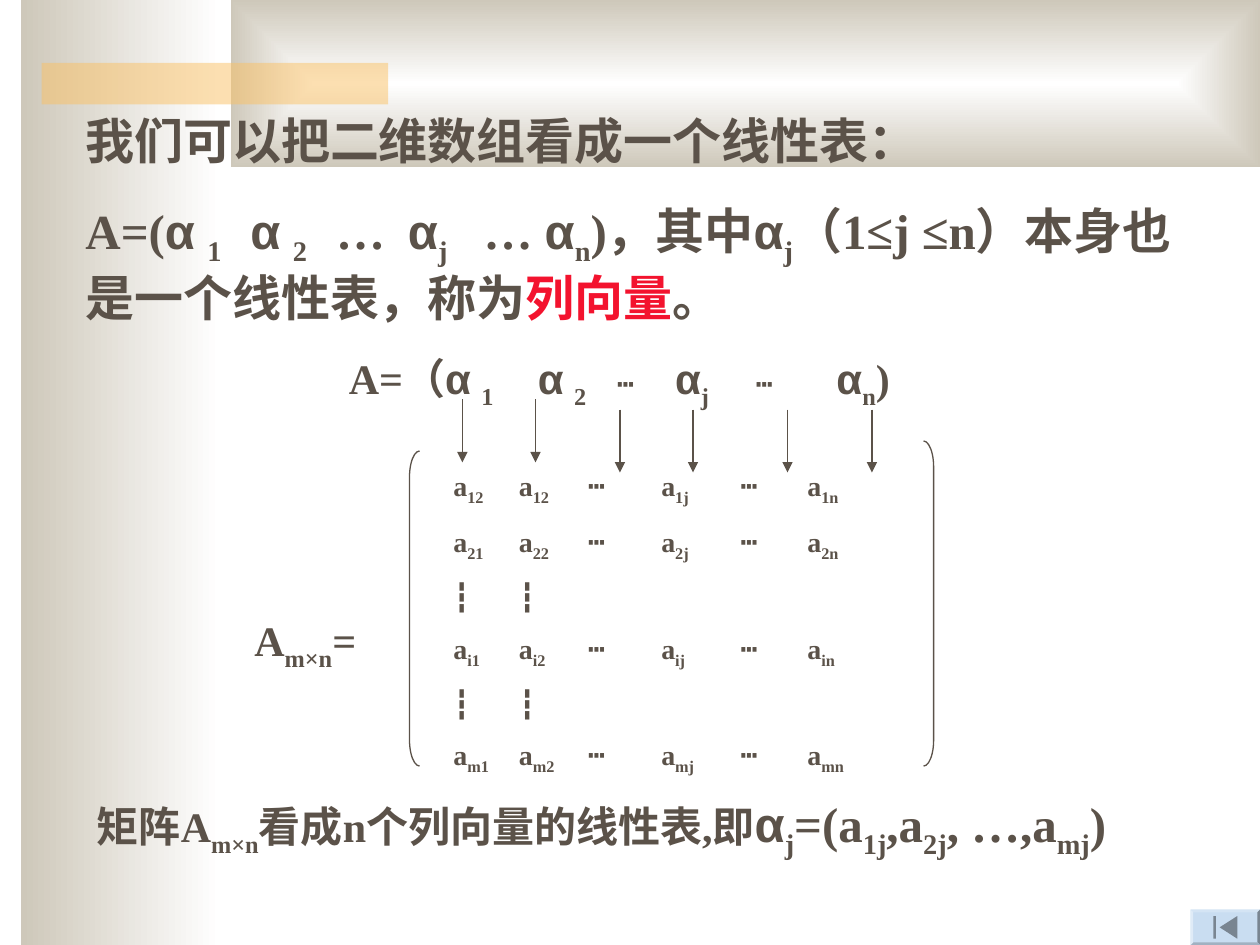
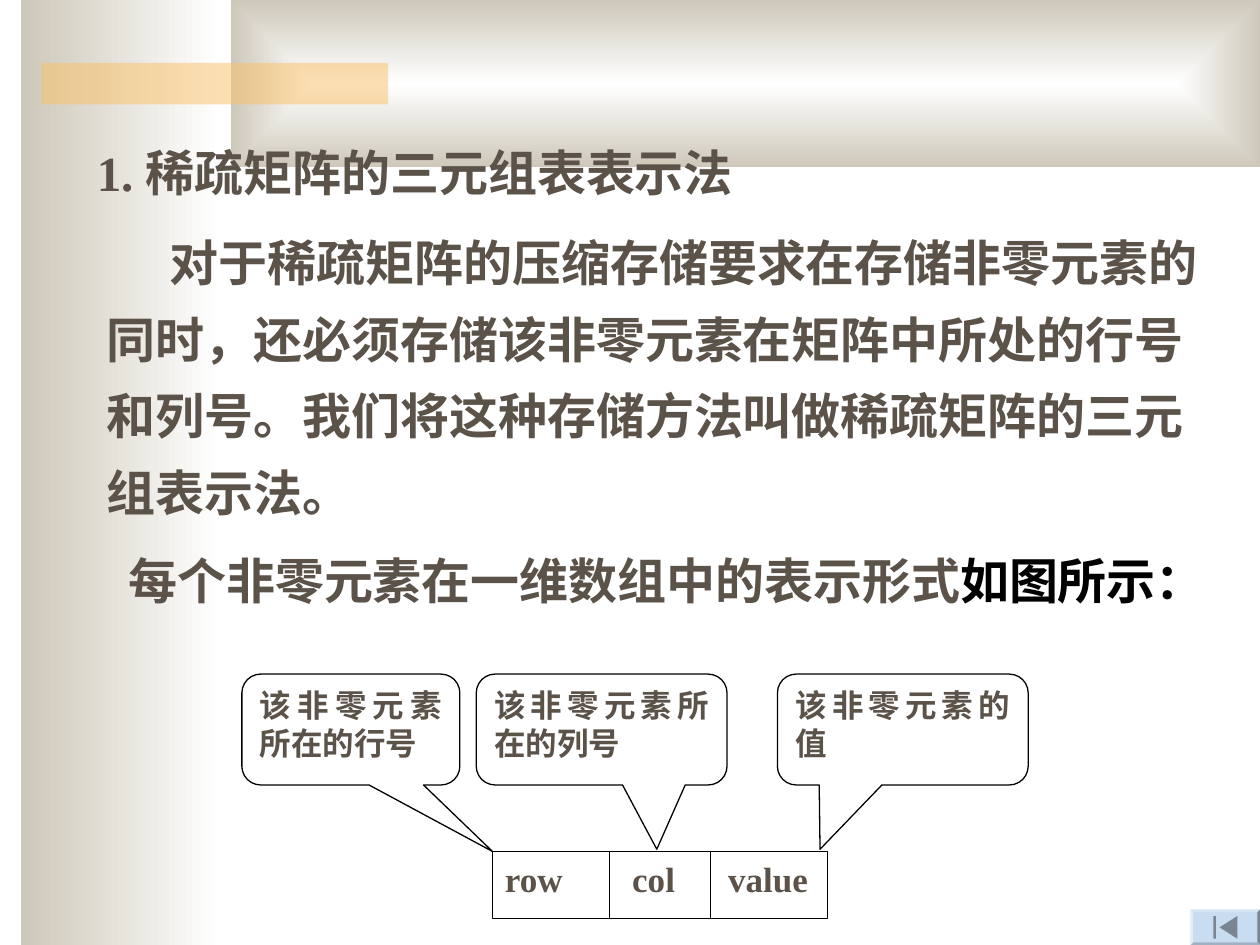
from itertools import groupby

from lxml import etree
from pptx import Presentation
from pptx.dml.color import RGBColor
from pptx.enum import shapes, text
from pptx.oxml import ns
from pptx.util import Inches, Pt

INK = RGBColor(0x5B, 0x52, 0x49)
RED = RGBColor(0xF3, 0x13, 0x2E)
BLACK = RGBColor(0, 0, 0)
WHITE = RGBColor(0xFF, 0xFF, 0xFF)
SAND = RGBColor(0xCE, 0xC8, 0xBA)
GOLD = RGBColor(0xFA, 0xC1, 0x64)
FACE = RGBColor(0xC9, 0xDD, 0xF1)
LIGHT = RGBColor(0xDF, 0xEB, 0xF7)
PALE = RGBColor(0xD4, 0xE4, 0xF4)
SHADE = RGBColor(0xA1, 0xB1, 0xC1)
DARK = RGBColor(0x79, 0x85, 0x91)

SERIF, SANS = "Times New Roman", "Arial"
KIND = shapes.MSO_SHAPE
FRAME = {
    "word_wrap": True,
    "vertical_anchor": text.MSO_ANCHOR.TOP,
    "margin_left": Inches(0.1),
    "margin_right": Inches(0.1),
    "margin_top": Inches(0.05),
    "margin_bottom": Inches(0.05),
}


def apply(item, form):
    for name, value in form.items():
        setattr(item, name, value)


def child(node, tag, **attrs):
    return etree.SubElement(node, ns.qn(tag), attrs)


def paint(shape, fill=None, line=None):
    shape.shadow.inherit = False
    if fill is None:
        shape.fill.background()
    else:
        shape.fill.solid()
        shape.fill.fore_color.rgb = fill
    if line is None:
        shape.line.fill.background()
    else:
        shape.line.color.rgb = line
        shape.line.width = Pt(0.75)


def add_box(slide, kind, at, fill=None, line=None):
    shape = slide.shapes.add_shape(kind, *map(Inches, at))
    paint(shape, fill, line)
    return shape


def add_poly(slide, points, fill):
    pts = [(Inches(x), Inches(y)) for x, y in points]
    build = slide.shapes.build_freeform(*pts[0])
    build.add_line_segments(pts[1:], close=True)
    paint(build.convert_to_shape(), fill)


def add_line(slide, start, end, color, arrow=False):
    line = slide.shapes.add_connector(
        shapes.MSO_CONNECTOR.STRAIGHT, *map(Inches, start + end))
    line.line.color.rgb = color
    line.line.width = Pt(0.75)
    if arrow:
        child(line.line._get_or_add_ln(), "a:tailEnd", type="triangle")
    child(line._element.spPr, "a:effectLst")


def add_run(para, words, size, color, sub=False):
    """Add words, with Greek letters in the sans font."""
    for greek, chars in groupby(words, lambda c: c == "α"):
        run = para.add_run()
        run.text = "".join(chars)
        apply(run.font, {"name": SANS if greek else SERIF,
                         "size": Pt(size), "bold": True})
        run.font.color.rgb = color
        if sub:
            run.font._element.set("baseline", "-25000")


def add_rich(para, part, size):
    """Add 'base_sub|base_sub'; a tuple (text, size, colour) overrides."""
    color = INK
    if isinstance(part, tuple):
        part, size, color = part
    for piece in part.split("|"):
        base, _, sub = piece.partition("_")
        if base:
            add_run(para, base, size, color)
        if sub:
            add_run(para, sub, size, color, True)


def write(shape, paras, size, tabs=(), gap=0, form=None, indent=0):
    """Fill a shape with paragraphs, each one a list of marked-up parts."""
    frame = shape.text_frame
    apply(frame, FRAME)
    for i, parts in enumerate(paras):
        para = frame.paragraphs[0] if i == 0 else frame.add_paragraph()
        props = para._p.get_or_add_pPr()
        if indent:
            props.set("indent", str(Inches(indent)))
        if tabs:
            stops = child(props, "a:tabLst")
            for stop in tabs:
                child(stops, "a:tab", pos=str(Inches(stop)), algn="l")
        apply(para, {"alignment": text.PP_ALIGN.LEFT,
                     "space_before": Pt(gap if i else 0), **(form or {})})
        for part in parts:
            add_rich(para, part, size)


def add_text(slide, at, paras, size, **more):
    box = slide.shapes.add_textbox(*map(Inches, at))
    write(box, paras, size, **more)
    box.text_frame.auto_size = text.MSO_AUTO_SIZE.SHAPE_TO_FIT_TEXT


def add_fade(slide, at, angle=None):
    """Add a white to sand band: linear with an angle, else from the centre."""
    band = add_box(slide, KIND.RECTANGLE, at)
    band.fill.gradient()
    for stop, color in zip(band.fill.gradient_stops, (WHITE, SAND)):
        stop.color.rgb = color
    if angle is not None:
        band.fill.gradient_angle = angle
        return
    grad = band._element.spPr.find(ns.qn("a:gradFill"))
    grad.remove(grad.find(ns.qn("a:lin")))
    way = child(grad, "a:path", path="rect")
    child(way, "a:fillToRect", **dict.fromkeys("ltrb", "50000"))


def add_button(slide):
    left, top, right, low, rim = 9.45, 7.22, 10, 7.5, 0.02
    add_box(slide, KIND.RECTANGLE, (left, top, right - left, low - top), FACE)
    outer = [(left, top), (right, top), (right, low), (left, low)]
    inner = [(left + rim, top + rim), (right - rim, top + rim),
             (right - rim, low - rim), (left + rim, low - rim)]
    for i, color in enumerate((PALE, DARK, SHADE, LIGHT)):
        j = (i + 1) % 4
        add_poly(slide, [outer[i], outer[j], inner[j], inner[i]], color)
    add_poly(slide, [(9.68, 7.36), (9.82, 7.27), (9.82, 7.45)], DARK)
    add_box(slide, KIND.RECTANGLE, (9.63, 7.27, 0.02, 0.18), DARK)


def new_slide(deck):
    slide = deck.slides.add_slide(deck.slide_layouts[6])
    add_fade(slide, (0.17, 0, 1.58, 7.5), 180)
    add_fade(slide, (1.83, 0, 8.17, 1.33))
    bar = add_box(slide, KIND.RECTANGLE, (0.33, 0.5, 2.75, 0.33), GOLD)
    tint = bar._element.spPr.find(ns.qn("a:solidFill"))[0]
    child(tint, "a:alpha", val="50000")
    add_button(slide)
    return slide


def matrix_row(row):
    return [f"a_{row}1|\ta_{row}2|\t┅\ta_{row}j|\t┅\ta_{row}n"]


def add_matrix(slide):
    for kind, left, top in ((KIND.LEFT_BRACKET, 3.25, 3.58),
                            (KIND.RIGHT_BRACKET, 7.33, 3.5)):
        mark = add_box(slide, kind, (left, top, 0.08, 6.08 - top), None, INK)
        mark.adjustments[0] = 2.6
    add_text(slide, (1.92, 4.83, 1.25, 0.56), [["A_m×n|="]], 24)
    dots = ["┇\t┇"]
    first = ["a_12|\ta_12|\t┅\ta_1j|\t┅\ta_1n"]
    rows = [first, matrix_row("2"), dots, matrix_row("i"), dots,
            matrix_row("m")]
    add_text(slide, (3.5, 3.67, 3.83, 2.54), rows, 16, gap=10,
             tabs=(0.52, 1.07, 1.65, 2.28, 2.81))
    dot = ("\t┅", 16, INK)
    add_text(slide, (2.67, 2.75, 5.42, 0.56),
             [["A=（α _1|\tα _2", dot, "\tα_j", dot, "\tα_n|)"]], 24,
             tabs=(1.5, 2.13, 2.59, 3.23, 3.87))
    for x, y in ((3.67, 3.17), (4.25, 3.17), (4.92, 3.25),
                 (5.5, 3.25), (6.25, 3.25), (6.92, 3.25)):
        add_line(slide, (x, y), (x, y + 0.5), INK, arrow=True)


def array_slide(deck):
    slide = new_slide(deck)
    add_matrix(slide)
    add_text(slide, (0.58, 0.83, 9.17, 1.81), [
        ["我们可以把二维数组看成一个线性表："],
        ["A=(α _1|\tα _2|\t…\tα_j|\t… α_n|)，其中α_j|"
         "（1≤j ≤n）本身也是一个线性表，称为",
         ("列向量", 28, RED), "。"],
    ], 28, gap=17.5, tabs=(1.31, 1.99, 2.56, 3.16))
    add_text(slide, (0.67, 6.25, 8.92, 0.63), [
        ["矩阵A_m×n|看成n个列向量的线性表,即",
         ("α_j|=(a_1j|,a_2j|, …,a_mj|)", 28, INK)],
    ], 24)


def add_record(slide):
    left, top, width, height = 3.91, 6.76, 2.66, 0.53
    cells = add_box(slide, KIND.RECTANGLE, (left, top, width, height),
                    WHITE, BLACK)
    write(cells, [["row\tcol\tvalue"]], 20, tabs=(1.01, 1.77))
    for x in (4.84, 5.64):
        add_line(slide, (x, top), (x, top + height), BLACK)
    for x, wide, tip, words in (
            (1.92, 1.73, (0.65, 1.1), "该非零元素所在的行号"),
            (3.78, 1.99, (0.22, 1.08), "该非零元素所在的列号"),
            (6.17, 1.99, (-0.33, 1.08), "该非零元素的值")):
        note = add_box(slide, KIND.ROUNDED_RECTANGULAR_CALLOUT,
                       (x, 5.35, wide, 0.88), WHITE, BLACK)
        for i, value in enumerate(tip + (0.17,)):
            note.adjustments[i] = value
        write(note, [[words]], 18,
              form={"alignment": text.PP_ALIGN.JUSTIFY})


def sparse_slide(deck):
    slide = new_slide(deck)
    add_text(slide, (0.67, 0.99, 9, 0.66),
             [["1. 稀疏矩阵的三元组表表示法"]], 28,
             form={"line_spacing": 1.2})
    add_text(slide, (0.75, 1.66, 9.08, 2.53), [
        ["对于稀疏矩阵的压缩存储要求在存储非零元素的同时，"
         "还必须存储该非零元素在矩阵中所处的行号和列号。"
         "我们将这种存储方法叫做稀疏矩阵的三元组表示法。"],
    ], 28, form={"line_spacing": 1.3}, indent=0.5)
    add_record(slide)
    add_text(slide, (0.92, 4.23, 8.42, 1.14), [
        ["每个非零元素在一维数组中的表示形式",
         ("如图所示：", 28, BLACK)],
    ], 28, form={"line_spacing": 1.2})


def main():
    deck = Presentation()
    apply(deck, {"slide_width": Inches(10), "slide_height": Inches(7.5)})
    array_slide(deck)
    sparse_slide(deck)
    deck.save("out.pptx")


if __name__ == "__main__":
    main()
